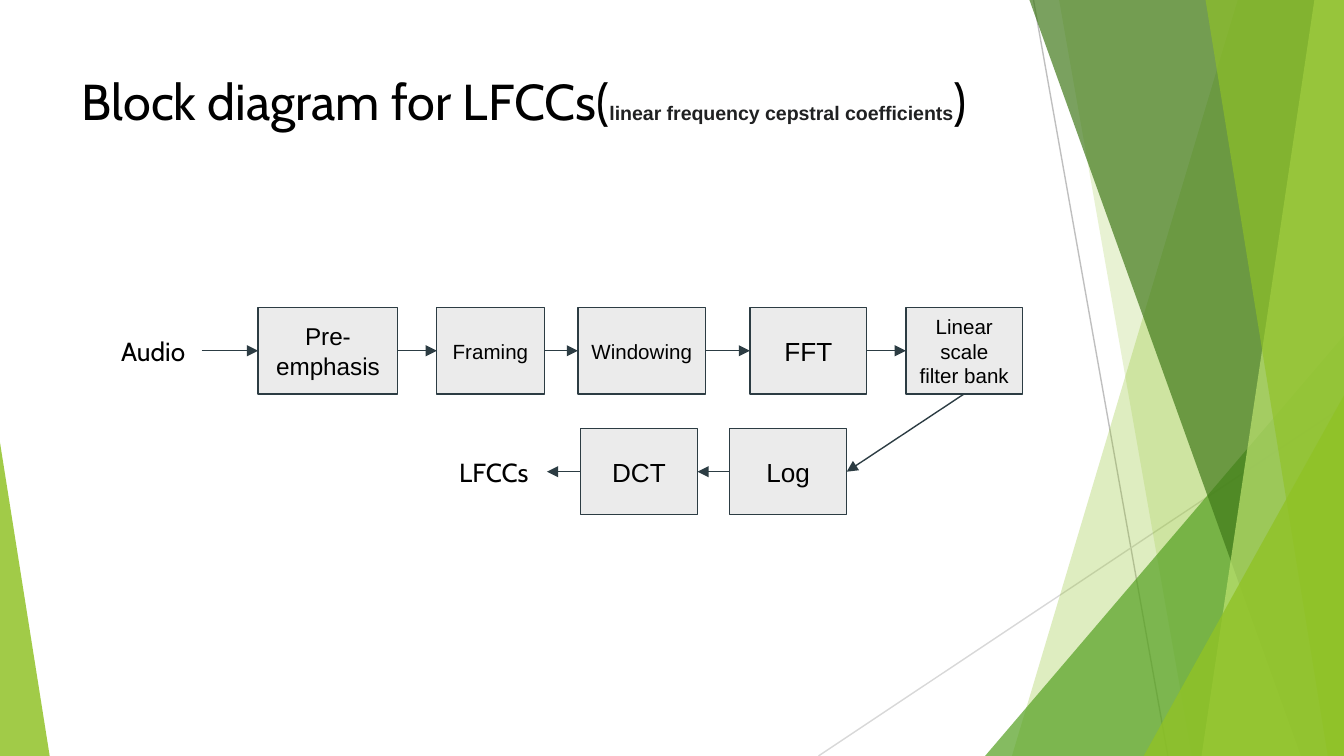
from pptx import Presentation
from pptx.dml.color import RGBColor
from pptx.enum.shapes import MSO_CONNECTOR, MSO_SHAPE
from pptx.enum.text import MSO_ANCHOR, PP_ALIGN
from pptx.oxml.ns import qn
from pptx.util import Inches, Pt
from lxml import etree

LINE = MSO_CONNECTOR.STRAIGHT
RECT = MSO_SHAPE.RECTANGLE
WEDGE = MSO_SHAPE.ISOSCELES_TRIANGLE
MIDDLE, TOP = MSO_ANCHOR.MIDDLE, MSO_ANCHOR.TOP
CENTER = PP_ALIGN.CENTER
LEFT, BOTTOM, RIGHT = 1, 2, 3  # connection sites

# The slide is a grid of 100 columns by 100 rows
WIDE, HIGH = Inches(10), Inches(5.625)
COL, ROW = WIDE / 100, HIGH / 100

INK, EDGE, PALE = "000000", "2C3C43", "EBEBEB"
GREEN = "90C226"


def color(code):
    return RGBColor.from_string(code)


def spot(box, x, y):
    """Point x columns and y rows into the box."""
    return round((box[0] + x) * COL), round((box[1] + y) * ROW)


def area(box, x, y, w, h):
    return (*spot(box, x, y), round(w * COL), round(h * ROW))


def paint(shape, fill, alpha):
    """Flat, see-through fill without outline."""
    shape.shadow.inherit = False
    shape.line.fill.background()
    shape.fill.solid()
    shape.fill.fore_color.rgb = color(fill)
    tone = shape._element.spPr.find(".//" + qn("a:srgbClr"))
    etree.SubElement(tone, qn("a:alpha"), val=str(alpha * 1000))


def rule(slide, start, end, code):
    line = slide.shapes.add_connector(LINE, *start, *end)
    line.line.color.rgb = color(code)
    line.line.width = Pt(0.75)
    etree.SubElement(line._element.spPr, qn("a:effectLst"))
    return line


def frame(shape, side, edge, anchor):
    text = shape.text_frame
    text.margin_left = text.margin_right = Inches(side)
    text.margin_top = text.margin_bottom = Inches(edge)
    text.vertical_anchor = anchor
    return text


def style(font, name, size, code=INK, bold=False):
    font.name, font.size, font.bold = name, Pt(size), bold
    font.color.rgb = color(code)


def decor(slide, box):
    """Overlapping green facets at the slide's edges."""
    def band(points, fill, alpha):
        spots = [spot(box, *point) for point in points]
        pen = slide.shapes.build_freeform(*spots[0])
        pen.add_line_segments(spots[1:], close=True)
        paint(pen.convert_to_shape(), fill, alpha)

    def wedge(x, y, w, h, peak, fill, alpha):
        shape = slide.shapes.add_shape(WEDGE, *area(box, x, y, w, h))
        shape.adjustments[0] = peak
        paint(shape, fill, alpha)

    def shard(top, foot, fill, alpha):
        band([(top, 0), (100, 0), (100, 100), (foot, 100)], fill, alpha)

    rule(slide, spot(box, 76.9, 0), spot(box, 86.9, 100), "BFBFBF")
    rule(slide, spot(box, 100, 53.7), spot(box, 60.9, 100), "D8D8D8")
    shard(92.1, 75.3, GREEN, 29)
    shard(78.8, 88.7, GREEN, 20)
    wedge(73.3, 44.4, 26.7, 55.6, 1, "54A021", 71)
    shard(76.6, 96.8, "3F7818", 69)
    shard(97.8, 89.4, "BFE471", 69)
    shard(89.7, 98.8, GREEN, 64)
    wedge(85.1, 52.3, 14.9, 47.7, 1, GREEN, 80)
    wedge(0, 58.5, 3.7, 41.5, 0, GREEN, 84)


def title(slide, box):
    shape = slide.shapes.add_textbox(*area(box, 0, 0, *box[2:]))
    text = frame(shape, 0.05, 0.02, TOP)
    text.word_wrap = True
    line = text.paragraphs[0]
    for words, look in (
        ("Block diagram for LFCCs(", ("Cabin", 27)),
        ("linear frequency cepstral coefficients",
         ("Arial", 10.5, "202122", True)),
        (")", ("Cabin", 27)),
    ):
        run = line.add_run()
        run.text = words
        style(run.font, *look)


def flow(slide, box):
    """Two rows of steps: the upper runs right, the lower runs left."""
    tall, pitch = 11.4, 16
    # text, row, left column, columns wide, font size
    steps = [
        ("Pre- emphasis", 0, 11.4, 10.4, 13),
        ("Framing", 0, 24.7, 8, 11),
        ("Windowing", 0, 35.2, 9.5, 11),
        ("FFT", 0, 48, 8.7, 14),
        ("Linear scale filter bank", 0, 59.6, 8.7, 11),
        ("Log", 1, 46.5, 8.7, 14),
        ("DCT", 1, 35.4, 8.7, 14),
    ]

    def write(shape, words, name, size):
        text = frame(shape, 0.09, 0.1, MIDDLE)
        text.word_wrap = " " in words
        text.text = words
        line = text.paragraphs[0]
        line.alignment = CENTER
        style(line.font, name, size)

    def label(words, row, x, w):
        high = 7.8
        y = row * pitch + (tall - high) / 2
        shape = slide.shapes.add_textbox(*area(box, x, y, w, high))
        write(shape, words, "Cabin", 14)
        return shape

    def step(words, row, x, w, size):
        shape = slide.shapes.add_shape(
            RECT, *area(box, x, row * pitch, w, tall))
        shape.shadow.inherit = False
        shape.fill.solid()
        shape.fill.fore_color.rgb = color(PALE)
        shape.line.color.rgb = color(EDGE)
        shape.line.width = Pt(0.75)
        write(shape, words, "Arial", size)
        return shape

    chain = [label("Audio", 0, 0, 7.2)]
    chain += [step(*item) for item in steps]
    chain.append(label("LFCCs", 1, 25, 7.9))

    # Arrows from each part to the next
    sites = [(RIGHT, LEFT)] * 5 + [(BOTTOM, RIGHT)] + [(LEFT, RIGHT)] * 2
    for first, last, (out, into) in zip(chain, chain[1:], sites):
        line = rule(slide, (0, 0), (0, 0), EDGE)
        line.begin_connect(first, out)
        line.end_connect(last, into)
        stroke = line._element.spPr.find(qn("a:ln"))
        etree.SubElement(stroke, qn("a:tailEnd"), type="triangle")


def main():
    deck = Presentation()
    deck.slide_width, deck.slide_height = WIDE, HIGH
    slide = deck.slides.add_slide(deck.slide_layouts[6])
    decor(slide, (0, 0, 100, 100))
    title(slide, (5.6, 8.9, 70.5, 19.2))
    flow(slide, (7.8, 40.7, 68.3, 27.4))
    deck.save("out.pptx")


if __name__ == "__main__":
    main()
